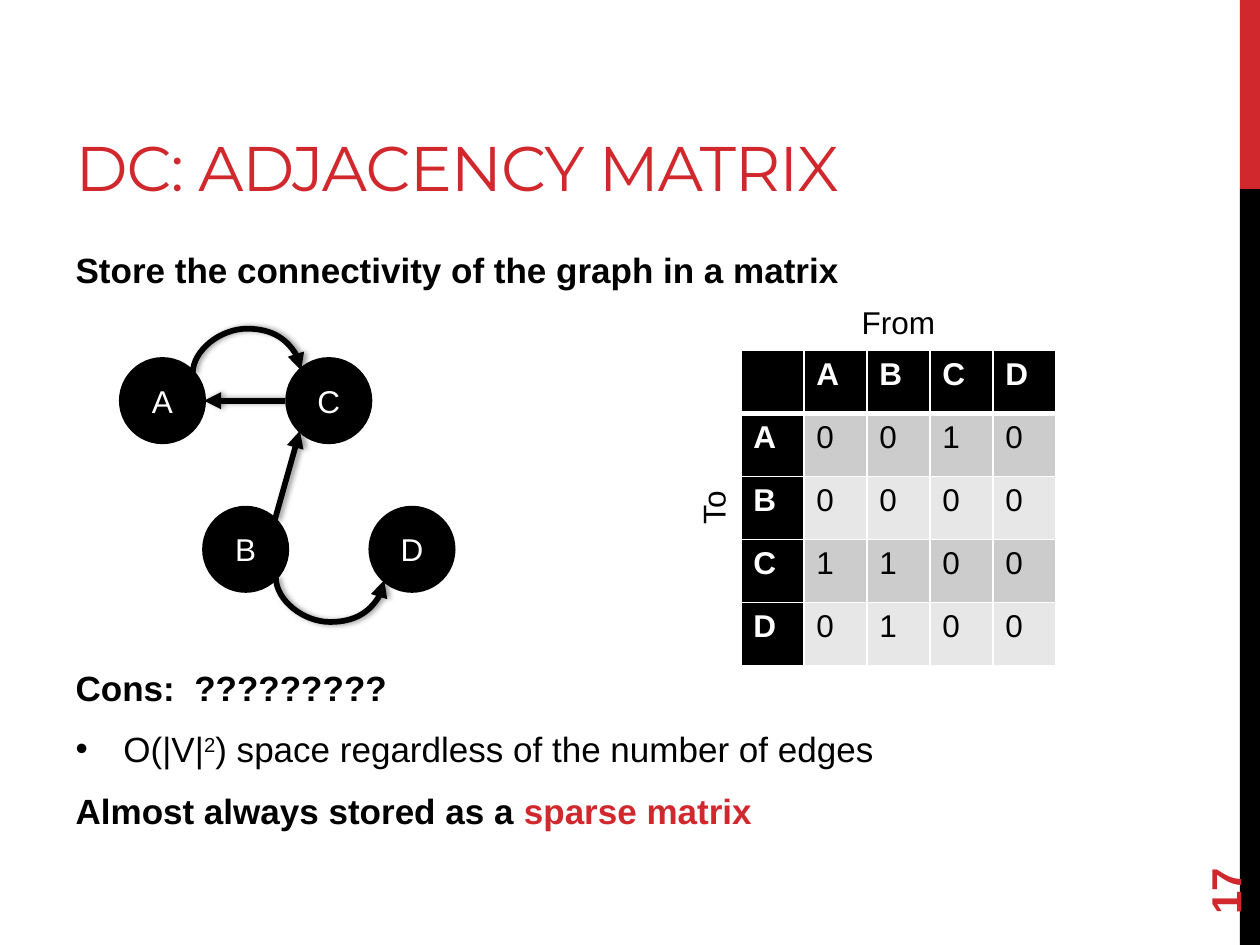
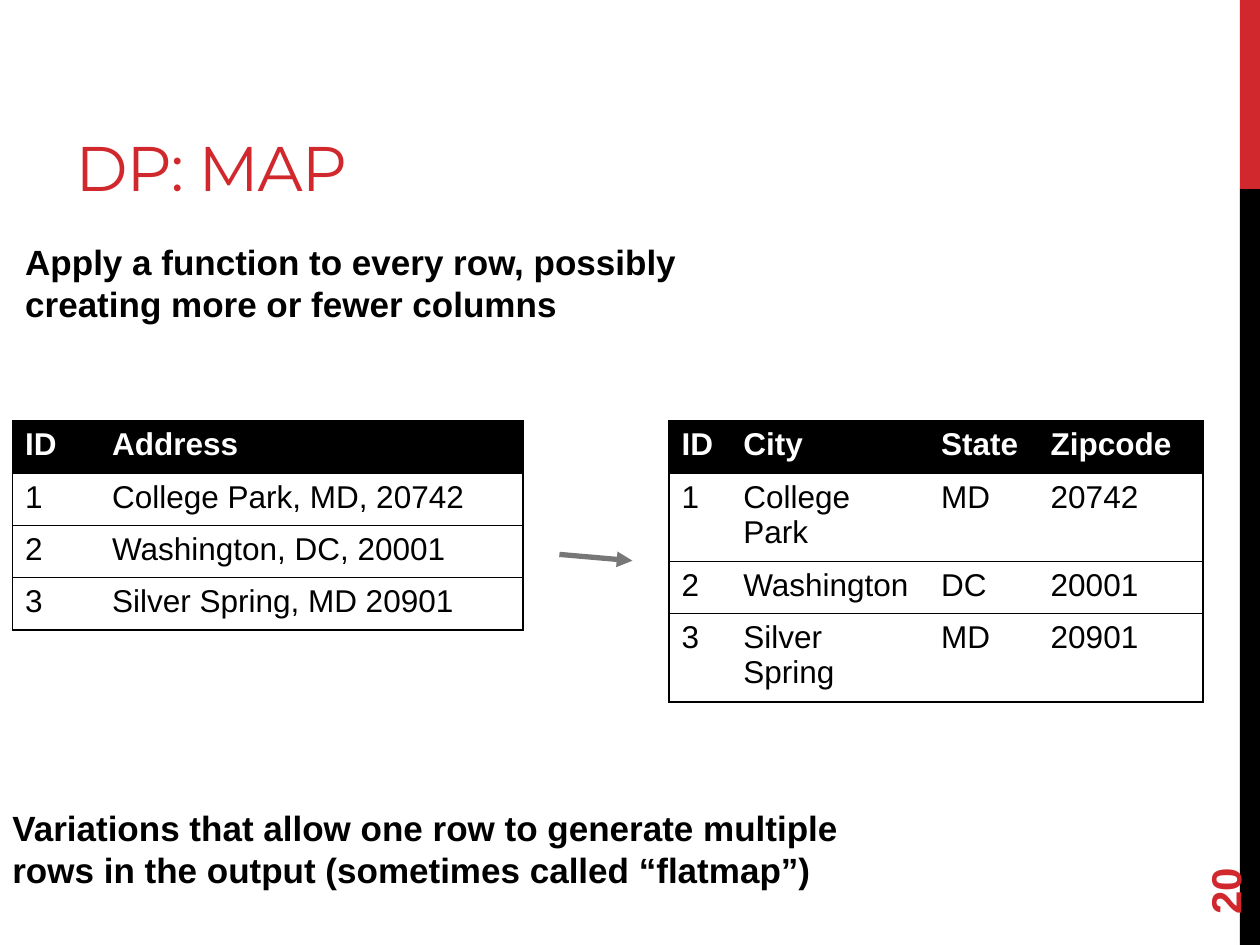
import pptx
import pptx.dml.color
import pptx.enum.shapes
import pptx.enum.text
import pptx.oxml.ns
import pptx.util
from lxml import etree

RED = pptx.dml.color.RGBColor(0xD1, 0x28, 0x2E)
BLACK = pptx.dml.color.RGBColor(0, 0, 0)
WHITE = pptx.dml.color.RGBColor(0xFF, 0xFF, 0xFF)
DARK_BAND = pptx.dml.color.RGBColor(0xCC, 0xCC, 0xCC)
LIGHT_BAND = pptx.dml.color.RGBColor(0xE7, 0xE7, 0xE7)
GRAY = pptx.dml.color.RGBColor(0x77, 0x77, 0x77)

TITLE_FONT = "Montserrat"
BODY_FONT = "Arial"
TEXT_SIZE = pptx.util.Pt(20)
LABEL_SIZE = pptx.util.Pt(18)

Shape = pptx.enum.shapes.MSO_SHAPE
Connector = pptx.enum.shapes.MSO_CONNECTOR
Anchor = pptx.enum.text.MSO_ANCHOR
Align = pptx.enum.text.PP_ALIGN
qn = pptx.oxml.ns.qn

# The slide is a square grid, 100 steps wide and 75 high
WIDTH, HEIGHT = pptx.util.Inches(10), pptx.util.Inches(7.5)
STEP = WIDTH / 100


def place(*steps):
    """Turn grid steps into lengths."""
    return [round(step * STEP) for step in steps]


def write(para, text, color=BLACK, **values):
    """Add a run to a paragraph, with label style unless values say otherwise."""
    span = para.add_run()
    span.text = text
    style = {"name": BODY_FONT, "size": LABEL_SIZE, "bold": False} | values
    for name, value in style.items():
        setattr(span.font, name, value)
    span.font.color.rgb = color
    return span


deck = pptx.Presentation()
deck.slide_width, deck.slide_height = WIDTH, HEIGHT
layout = deck.slide_layouts[1]

# Shared titles and body frames
pages = []
for title, title_width, body_at in [
    ("DC: ADJACENCY MATRIX", 63.3, (5, 19.2, 83.3, 47.8)),
    ("DP: MAP", 71.2, (1, 18.6, 56.6, 8.2)),
]:
    page = deck.slides.add_slide(layout)
    pages.append(page)
    body = page.placeholders[1]
    for holder, at in [(page.shapes.title, (5, 1.7, title_width, 15)), (body, body_at)]:
        holder.left, holder.top, holder.width, holder.height = place(*at)
        holder.text_frame.auto_size = pptx.enum.text.MSO_AUTO_SIZE.NONE
    page.shapes.title.text_frame.vertical_anchor = Anchor.BOTTOM
    body.text_frame.vertical_anchor = Anchor.TOP
    para = page.shapes.title.text_frame.paragraphs[0]
    para.alignment = Align.LEFT
    span = write(para, title, RED, name=TITLE_FONT, size=pptx.util.Pt(36))
    span.font._element.set("spc", "-60")

matrix_page, map_page = pages

# Side bands live on the layout
for color, top, height in [(RED, 0, 15), (BLACK, 15, 60)]:
    band = matrix_page.shapes.add_shape(Shape.RECTANGLE, *place(98.4, top, 1.6, height))
    band.shadow.inherit = False
    band.fill.solid()
    band.fill.fore_color.rgb = color
    band.line.fill.background()
    layout.shapes.element.insert(2, band.element)

# Body text: page, space before, bullet, runs
strong = {"bold": True}
body_lines = [
    (matrix_page, 0, False, [("Store the connectivity of the graph in a matrix", strong)]),
    (matrix_page, 209, False, [("Cons:  ?????????", strong)]),
    (matrix_page, 5, True, [
        ("O(|V|", {}),
        ("2", {"raised": True}),
        (") space regardless of the number of edges", {}),
    ]),
    (matrix_page, 5, False, [
        ("Almost always stored as a ", strong),
        ("sparse matrix", {"bold": True, "color": RED}),
    ]),
    (map_page, 0, False, [
        ("Apply a function to every row, possibly creating more or fewer columns", strong),
    ]),
]
for page, gap, bulleted, runs in body_lines:
    frame = page.placeholders[1].text_frame
    para = frame.add_paragraph() if frame.text else frame.paragraphs[0]
    settings = para._p.get_or_add_pPr()
    indent = place(3.8)[0] if bulleted else 0
    settings.set("marL", str(indent))
    settings.set("indent", str(-indent))
    if bulleted:
        etree.SubElement(settings, qn("a:buFont"), typeface=BODY_FONT)
        etree.SubElement(settings, qn("a:buChar"), char="•")
    else:
        etree.SubElement(settings, qn("a:buNone"))
    para.space_before = pptx.util.Pt(gap)
    para.space_after = pptx.util.Pt(6)
    for text, values in runs:
        style = {name: value for name, value in values.items() if name != "raised"}
        span = write(para, text, size=TEXT_SIZE, **style)
        if "raised" in values:
            span.font._element.set("baseline", "30000")

# Text boxes: axis labels, closing remark and page numbers
page_number = {"color": RED, "size": pptx.util.Pt(24), "bold": True}
remark = "Variations that allow one row to generate multiple rows in the output (sometimes called “flatmap”)"
for page, text, at, turn, align, anchor, style in [
    (matrix_page, "From", (58.8, 23.6, 25, 4), 0, Align.CENTER, Anchor.TOP, {}),
    (matrix_page, "To", (44.1, 38.3, 25, 4), 270, Align.CENTER, Anchor.TOP, {}),
    (map_page, remark, (0, 63.5, 70, 7.7), 0, Align.LEFT, Anchor.TOP,
     {"size": TEXT_SIZE, "bold": True}),
    (matrix_page, "17", (90, 64.4, 14.4, 4), 270, Align.LEFT, Anchor.MIDDLE, page_number),
    (map_page, "20", (90, 64.4, 14.4, 4), 270, Align.LEFT, Anchor.MIDDLE, page_number),
]:
    box = page.shapes.add_textbox(*place(*at))
    box.rotation = turn
    box.text_frame.word_wrap = True
    box.text_frame.vertical_anchor = anchor
    box.text_frame.paragraphs[0].alignment = align
    write(box.text_frame.paragraphs[0], text, **style)

# Graph nodes, each one diameter further right per column
DIAMETER = 6.6
for name, column, top in [("A", 0, 28.5), ("C", 2, 28.5), ("B", 1, 40.3), ("D", 3, 40.3)]:
    node = matrix_page.shapes.add_shape(
        Shape.OVAL, *place(9.6 + DIAMETER * column, top, DIAMETER, DIAMETER))
    node.shadow.inherit = False
    node.fill.solid()
    node.fill.fore_color.rgb = BLACK
    node.line.color.rgb = BLACK
    node.line.width = pptx.util.Pt(2.25)
    node.text_frame.vertical_anchor = Anchor.MIDDLE
    node.text_frame.paragraphs[0].alignment = Align.CENTER
    write(node.text_frame.paragraphs[0], name, WHITE)

# Arrows; a curved edge is a flat connector turned upright, with its bend far outside
CURVE_BEND = "val 1750000"
curve_size = place(0.2, 8.6)
for page, ends, curve, color, weight in [
    (matrix_page, (15.3, 29.6, 23.9, 29.4), (90, ("flipH", "flipV")), BLACK, 3.25),
    (matrix_page, (21.9, 45.9, 30.5, 46), (270, ("flipH",)), BLACK, 3.25),
    (matrix_page, (22.6, 31.8, 16.2, 31.8), None, BLACK, 3.25),
    (matrix_page, (21.8, 41.3, 23.8, 34.2), None, BLACK, 3.25),
    (map_page, (44.4, 44, 50.2, 44.5), None, GRAY, 3),
]:
    kind = Connector.CURVE if curve else Connector.STRAIGHT
    arrow = page.shapes.add_connector(kind, *place(*ends))
    arrow.line.color.rgb = color
    arrow.line.width = pptx.util.Pt(weight)
    etree.SubElement(arrow.line._get_or_add_ln(), qn("a:tailEnd"), type="triangle")
    properties = arrow.element.spPr
    effects = etree.SubElement(properties, qn("a:effectLst"))
    if page is matrix_page:
        shadow = etree.SubElement(effects, qn("a:outerShdw"), blurRad="40000",
                                  dist="23000", dir="0", rotWithShape="0")
        shade = etree.SubElement(shadow, qn("a:srgbClr"), val=str(BLACK))
        etree.SubElement(shade, qn("a:alpha"), val="40000")
    if curve:
        turn, flips = curve
        middle_x, middle_y = place((ends[0] + ends[2]) / 2, (ends[1] + ends[3]) / 2)
        arrow.width, arrow.height = curve_size
        arrow.left = middle_x - arrow.width // 2
        arrow.top = middle_y - arrow.height // 2
        frame = properties.find(qn("a:xfrm"))
        for flip in ("flipH", "flipV"):
            frame.set(flip, "1" if flip in flips else "0")
        frame.set("rot", str(turn * 60000))
        guides = properties.find(qn("a:prstGeom")).find(qn("a:avLst"))
        etree.SubElement(guides, qn("a:gd"), name="adj1", fmla=CURVE_BEND)

# Tables
adjacency = [" ABCD", "A0010", "B0000", "C1100", "D0100"]
addresses = [
    ("ID", "Address"),
    ("1", "College Park, MD, 20742"),
    ("2", "Washington, DC, 20001"),
    ("3", "Silver Spring, MD 20901"),
]
places = [
    ("ID", "City", "State", "Zipcode"),
    ("1", "College Park", "MD", "20742"),
    ("2", "Washington", "DC", "20001"),
    ("3", "Silver Spring", "MD", "20901"),
]
for page, rows, corner, widths, row_height in [
    (matrix_page, adjacency, (58.8, 27.8), [5] * 5, 5),
    (map_page, addresses, (1, 33.4), [6.9, 33.6], 4.15),
    (map_page, places, (53.1, 33.4), [4.9, 15.7, 8.7, 13.1], 4.15),
]:
    is_matrix = rows is adjacency
    table = page.shapes.add_table(
        len(rows), len(widths), *place(*corner, sum(widths), row_height * len(rows))).table
    table.horz_banding = False
    for column, width in zip(table.columns, place(*widths)):
        column.width = width
    for i, row in enumerate(rows):
        table.rows[i].height = place(row_height)[0]
        for j, text in enumerate(row):
            cell = table.cell(i, j)
            is_header = i == 0 or (is_matrix and j == 0)
            # Border weights; 0 leaves the edge undrawn
            weights = {
                "a:lnL": 1 if is_matrix or j == 0 else 0,
                "a:lnR": 1 if is_matrix or j == len(row) - 1 else 0,
                "a:lnT": 3 if is_matrix and i == 1 else 1,
                "a:lnB": 3 if is_matrix and i == 0 else 1,
            }
            cell_properties = cell._tc.get_or_add_tcPr()
            for edge, weight in weights.items():
                line = etree.SubElement(cell_properties, qn(edge), w=str(pptx.util.Pt(weight)))
                if weight:
                    paint = etree.SubElement(line, qn("a:solidFill"))
                    line_color = WHITE if is_matrix else BLACK
                    etree.SubElement(paint, qn("a:srgbClr"), val=str(line_color))
                else:
                    etree.SubElement(line, qn("a:noFill"))
            if is_header:
                fill_color = BLACK
            elif is_matrix:
                fill_color = DARK_BAND if i % 2 else LIGHT_BAND
            else:
                fill_color = WHITE
            cell.fill.solid()
            cell.fill.fore_color.rgb = fill_color
            if text.strip():
                write(cell.text_frame.paragraphs[0], text,
                      WHITE if is_header else BLACK, bold=is_header)

deck.save("out.pptx")
